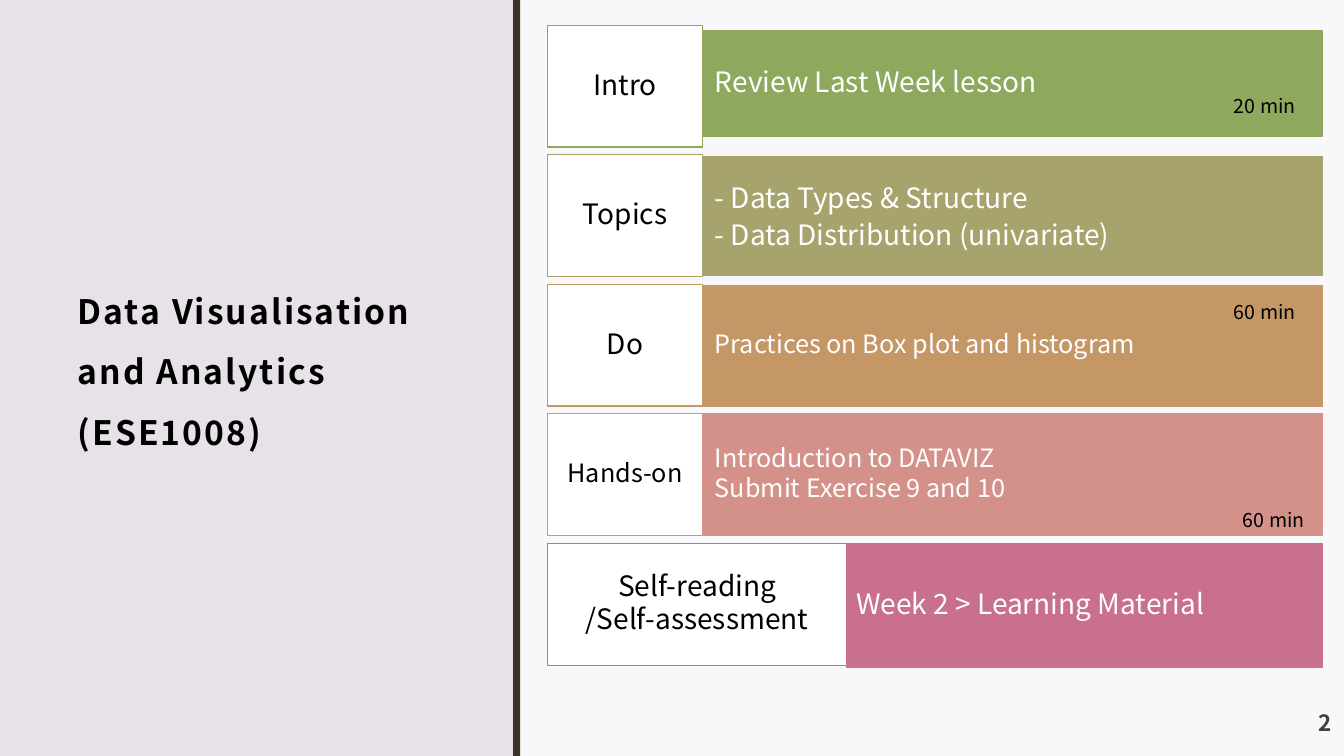
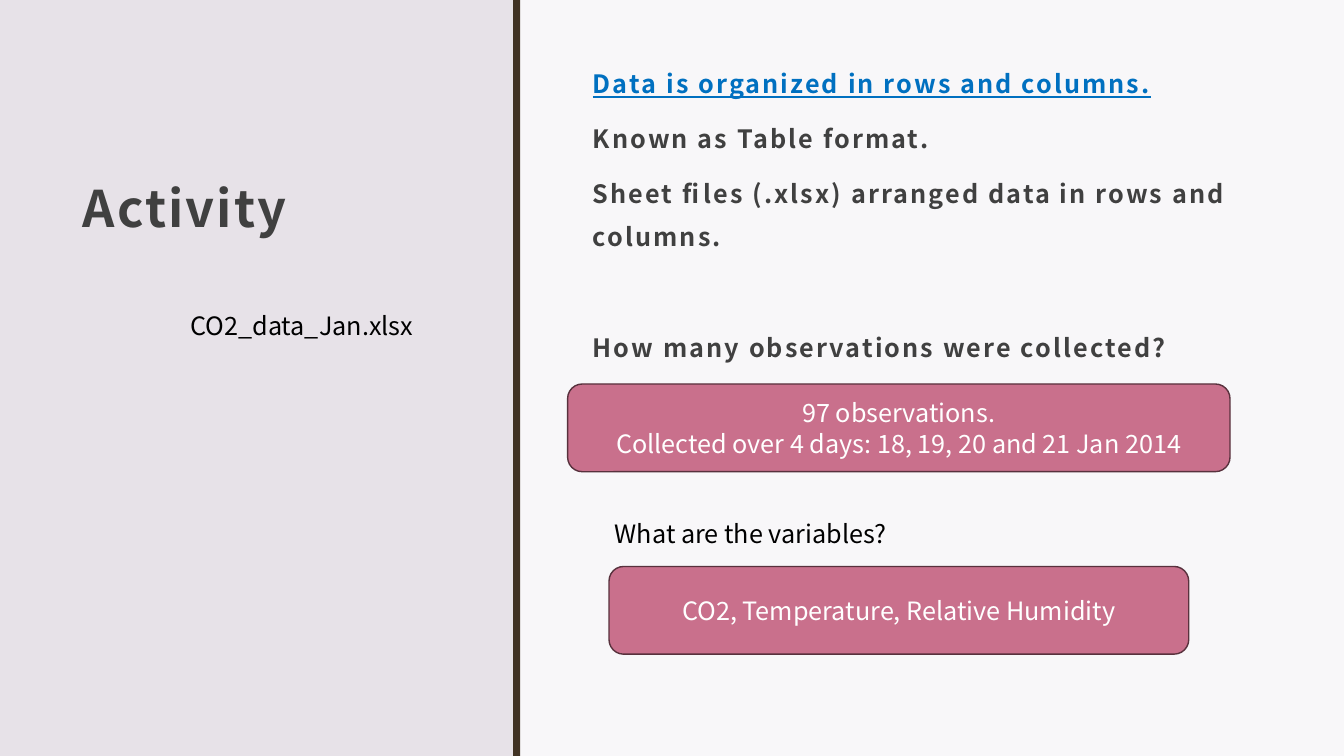
import pptx
import pptx.util
import pptx.dml.color
import pptx.enum.shapes
import pptx.enum.text
import pptx.oxml
import pptx.oxml.ns

WIDTH, HEIGHT = 13.33, 7.5
FONT = "Noto Sans CJK JP"
COLOURS = {
    "side": "E7E2E8", "strip": "413324", "white": "FFFFFF", "black": "000000",
    "grey": "404040", "blue": "0070C0", "green": "8EA95E", "olive": "A7A36D",
    "tan": "C59766", "coral": "D3918A", "rose": "C9708C", "plum": "58313D",
}
PANEL_LEFT, STRIP_WIDTH = 5.16, 0.07
PLACEHOLDER_INSETS = (0.12, 0.12, 0.12, 0.1)
HEADING = {"bold": True, "spacing": 1.5, "insets": PLACEHOLDER_INSETS}

ALIGN = pptx.enum.text.PP_ALIGN
ANCHOR = pptx.enum.text.MSO_ANCHOR
RECTANGLE = pptx.enum.shapes.MSO_SHAPE.RECTANGLE
ROUNDED = pptx.enum.shapes.MSO_SHAPE.ROUNDED_RECTANGLE

# Agenda rows: colour, label lines, label size, label width,
# band lines, band size, band line spacing, band top, band height
AGENDA_LEFT, AGENDA_RIGHT, AGENDA_TOP = 5.43, 13.12, 0.25
ROW_PITCH, LABEL_HEIGHT = 1.285, 1.21
AGENDA = [
    ("green", ["Intro"], 20, 1.54, ["Review Last Week lesson"], 20, 0.9, 0.31, 1.04),
    ("olive", ["Topics"], 20, 1.54,
     ["- Data Types & Structure", "- Data Distribution (univariate)"], 20, 1, 1.55, 1.18),
    ("tan", ["Do"], 20, 1.54, ["Practices on Box plot and histogram"], 18, 0.9, 2.83, 1.2),
    ("coral", ["Hands-on"], 18, 1.54,
     ["Introduction to DATAVIZ", "Submit Exercise 9 and 10"], 18, 0.9, 4.1, 1.21),
    ("rose", ["Self-reading", "/Self-assessment"], 20, 2.97,
     ["Week 2 > Learning Material"], 20, 0.9, 5.39, 1.23),
]
DURATIONS = [("20 min", 12.14, 0.88), ("60 min", 12.14, 2.92), ("60 min", 12.23, 4.99)]

# Each line with the formats that differ from the rest of the list
TABLE_FACTS = [
    ("Data is organized in rows and columns.",
     {"colour": "blue", "underline": True, "before": 0}),
    ("Known as Table format.", {}),
    ("Sheet files (.xlsx) arranged data in rows and columns.", {}),
    ("How many observations were collected?", {"before": 49}),
]
ANSWERS = [
    (["97 observations.", "Collected over 4 days: 18, 19, 20 and 21 Jan 2014"],
     (5.63, 3.81, 6.57, 0.87)),
    (["CO2, Temperature, Relative Humidity"], (6.04, 5.62, 5.75, 0.87)),
]
CAPTIONS = [("CO2_data_Jan.xlsx", (1.79, 3.03, 2.55, 0.4)),
            ("What are the variables?", (6, 5.09, 3.13, 0.4))]


def rgb(name):
    return pptx.dml.color.RGBColor.from_string(COLOURS[name])


def inches(values):
    return [pptx.util.Inches(value) for value in values]


def format_paragraph(para, text, size=18, colour="black", bold=False, underline=False,
                     spacing=0, align=ALIGN.LEFT, leading=1, before=0, after=0):
    properties = para._p.get_or_add_pPr()
    properties.set("marL", "0")
    properties.set("indent", "0")
    properties.append(pptx.oxml.parse_xml(
        "<a:buNone %s/>" % pptx.oxml.ns.nsdecls("a")))
    para.alignment = align
    para.line_spacing = float(leading)
    para.space_before = pptx.util.Pt(before)
    para.space_after = pptx.util.Pt(after)
    span = para.add_run()
    span.text = text
    span.font.name = FONT
    span.font.size = pptx.util.Pt(size)
    span.font.bold = bold
    span.font.underline = underline
    span.font.color.rgb = rgb(colour)
    if spacing:
        span._r.get_or_add_rPr().set("spc", str(int(spacing * 100)))


def write(shape, lines, insets=(0.1, 0.05, 0.1, 0.05), anchor=ANCHOR.MIDDLE,
          wrap=True, **style):
    """Fill a shape with lines, each a string or a (string, overrides) pair."""
    frame = shape.text_frame
    frame.auto_size = pptx.enum.text.MSO_AUTO_SIZE.NONE
    frame.word_wrap = wrap
    frame.vertical_anchor = anchor
    (frame.margin_left, frame.margin_top,
     frame.margin_right, frame.margin_bottom) = inches(insets)
    for index, line in enumerate(lines):
        text, overrides = (line, {}) if isinstance(line, str) else line
        para = frame.add_paragraph() if index else frame.paragraphs[0]
        format_paragraph(para, text, **{**style, **overrides})


def add_box(page, place, fill, line=None, kind=RECTANGLE):
    box = page.shapes.add_shape(kind, *inches(place))
    box.shadow.inherit = False
    box.fill.solid()
    box.fill.fore_color.rgb = rgb(fill)
    if line:
        box.line.color.rgb = rgb(line)
        box.line.width = pptx.util.Pt(1)
    else:
        box.line.fill.background()
    return box


def add_text(page, place, text, **style):
    write(page.shapes.add_textbox(*inches(place)), [text], **style)


def fill_placeholder(holder, place, lines, **style):
    holder.left, holder.top, holder.width, holder.height = inches(place)
    write(holder, lines, **HEADING, **style)


def decorate_master(deck, page):
    """Put the background, pale panel and dark strip on the slide master."""
    master = deck.slide_master
    master.background.fill.solid()
    master.background.fill.fore_color.rgb = rgb("side")
    panel = add_box(page, (PANEL_LEFT, 0, WIDTH - PANEL_LEFT, HEIGHT), "white")
    colour = panel.fill._xPr.find(".//" + pptx.oxml.ns.qn("a:srgbClr"))
    colour.append(pptx.oxml.parse_xml(
        '<a:alpha %s val="75000"/>' % pptx.oxml.ns.nsdecls("a")))
    strip = add_box(page, (PANEL_LEFT - STRIP_WIDTH, 0, STRIP_WIDTH, HEIGHT), "strip")
    for offset, shape in enumerate((panel, strip)):
        master.element.cSld.spTree.insert(2 + offset, shape.element)


def build_agenda(page):
    fill_placeholder(page.shapes.title, (0.65, 0.7, 4.16, 5.75),
                     ["Data Visualisation and Analytics (ESE1008)"], size=24, leading=1.5)
    for row, (colour, label, label_size, label_width, lines, size, leading,
              band_top, band_height) in enumerate(AGENDA):
        band_left = AGENDA_LEFT + label_width
        band = add_box(page, (band_left, band_top, AGENDA_RIGHT - band_left, band_height),
                       colour, colour)
        side = 0.12 if label_width < 2 else 0.09
        write(band, lines, insets=(side, 0.31, side, 0.31), size=size, colour="white",
              leading=leading, after=2)
        top = AGENDA_TOP + row * ROW_PITCH
        box = add_box(page, (AGENDA_LEFT, top, label_width, LABEL_HEIGHT), "white", colour)
        write(box, label, insets=(0.06, 0.12, 0.06, 0.12), size=label_size,
              align=ALIGN.CENTER, leading=0.9, after=2)
    add_text(page, (12.26, 6.9, 1.07, 0.5), "2", size=16, colour="grey",
             align=ALIGN.RIGHT, anchor=ANCHOR.BOTTOM, **HEADING)
    for text, left, top in DURATIONS:
        add_text(page, (left, top, 0.87, 0.34), text, size=14, wrap=False)


def build_activity(page):
    fill_placeholder(page.shapes.title, (0.7, 0.77, 3.73, 2.26), ["Activity"],
                     size=36, colour="grey", leading=1.5)
    fill_placeholder(page.placeholders[1], (5.76, 0.45, 6.75, 3.23), TABLE_FACTS,
                     colour="grey", leading=1.4, before=9.3)
    for text, place in CAPTIONS:
        add_text(page, place, text, wrap=False)
    for lines, place in ANSWERS:
        write(add_box(page, place, "rose", "plum", ROUNDED), lines,
              colour="white", align=ALIGN.CENTER)


def main():
    deck = pptx.Presentation()
    deck.slide_width, deck.slide_height = inches((WIDTH, HEIGHT))
    agenda = deck.slides.add_slide(deck.slide_layouts.get_by_name("Title Only"))
    activity = deck.slides.add_slide(deck.slide_layouts.get_by_name("Title and Content"))
    decorate_master(deck, agenda)
    build_agenda(agenda)
    build_activity(activity)
    deck.save("out.pptx")


if __name__ == "__main__":
    main()
